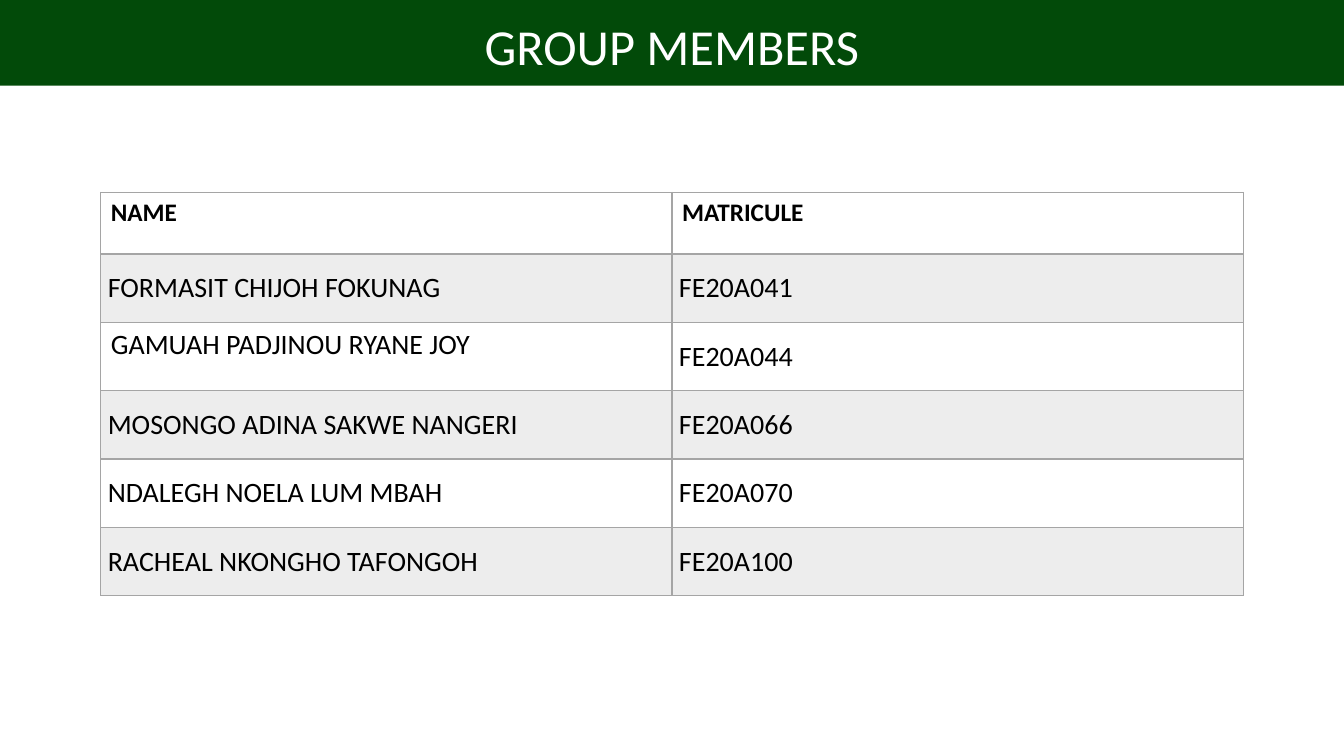
from dataclasses import dataclass

from lxml import etree
from pptx import Presentation
from pptx import util as u
from pptx.dml.color import RGBColor
from pptx.enum import text
from pptx.oxml.ns import qn


@dataclass(frozen=True)
class Theme:
    font: str = "Calibri"
    banner: str = "024A09"
    white: str = "FFFFFF"
    ink: str = "000000"
    band: str = "EDEDED"
    border: str = "A5A5A5"
    title_size: int = 36
    header_size: int = 18
    body_size: int = 20


THEME = Theme()
HEADER = ("NAME", "MATRICULE")
MEMBERS = [
    ("FORMASIT CHIJOH FOKUNAG", "FE20A041"),
    ("GAMUAH PADJINOU RYANE JOY", "FE20A044"),
    ("MOSONGO ADINA SAKWE NANGERI", "FE20A066"),
    ("NDALEGH NOELA LUM MBAH", "FE20A070"),
    ("RACHEAL NKONGHO TAFONGOH", "FE20A100"),
]
TOP_SET_CELL = (2, 0)


def style_font(p, size, color, bold=False):
    p.font.name = THEME.font
    p.font.size = u.Pt(size)
    p.font.bold = bold
    p.font.color.rgb = RGBColor.from_string(color)


def set_borders(cell, widths):
    tc_pr = cell._tc.get_or_add_tcPr()
    for i, (side, width) in enumerate(widths.items()):
        ln = etree.Element(qn(f"a:ln{side}"), w=str(u.Pt(width)))
        fill = etree.SubElement(ln, qn("a:solidFill"))
        etree.SubElement(fill, qn("a:srgbClr"), val=THEME.border)
        tc_pr.insert(i, ln)


def add_banner(s, title, left, top, width, height):
    sp = s.shapes.title
    sp.left, sp.top = u.Pt(left), u.Pt(top)
    sp.width, sp.height = u.Pt(width), u.Pt(height)
    sp.fill.solid()
    sp.fill.fore_color.rgb = RGBColor.from_string(THEME.banner)
    tf = sp.text_frame
    tf.text = title
    tf.word_wrap = True
    tf.auto_size = text.MSO_AUTO_SIZE.NONE
    tf.vertical_anchor = text.MSO_ANCHOR.MIDDLE
    p = tf.paragraphs[0]
    p.alignment = text.PP_ALIGN.CENTER
    p.line_spacing = 1.07
    p.space_before = u.Pt(12)
    style_font(p, THEME.title_size, THEME.white)


def fill_cell(cell, value, row, col):
    cell.text = value
    cell.vertical_anchor = text.MSO_ANCHOR.TOP
    p = cell.text_frame.paragraphs[0]
    p.alignment = text.PP_ALIGN.LEFT
    header = row == 0
    style_font(p, THEME.header_size if header else THEME.body_size, THEME.ink, header)
    if not header and (row, col) != TOP_SET_CELL:
        p.line_spacing = 1.5
        cell.margin_left = cell.margin_right = u.Pt(5)
        cell.margin_top = cell.margin_bottom = 0
    cell.fill.solid()
    cell.fill.fore_color.rgb = RGBColor.from_string(THEME.band if row % 2 else THEME.white)
    set_borders(cell, {"L": 1, "R": 1, "T": 2 if row == 1 else 1, "B": 2 if header else 1})


def add_member_table(s, left, top, width, height, header_height):
    rows = [HEADER, *MEMBERS]
    frame = s.shapes.add_table(len(rows), len(HEADER), u.Pt(left), u.Pt(top), u.Pt(width), u.Pt(height))
    table = frame.table
    table.horz_banding = False
    row_height = (height - header_height) / len(MEMBERS)
    for row, values in enumerate(rows):
        table.rows[row].height = u.Pt(row_height if row else header_height)
        for col, value in enumerate(values):
            fill_cell(table.cell(row, col), value, row, col)


def main():
    prs = Presentation()
    prs.slide_width, prs.slide_height = u.Pt(960), u.Pt(540)
    s = prs.slides.add_slide(prs.slide_layouts[5])
    add_member_table(s, 72, 137.5, 816, 288, 44)
    add_banner(s, "GROUP MEMBERS", 0, 0, 960, 61.2)
    prs.save("out.pptx")


if __name__ == "__main__":
    main()
